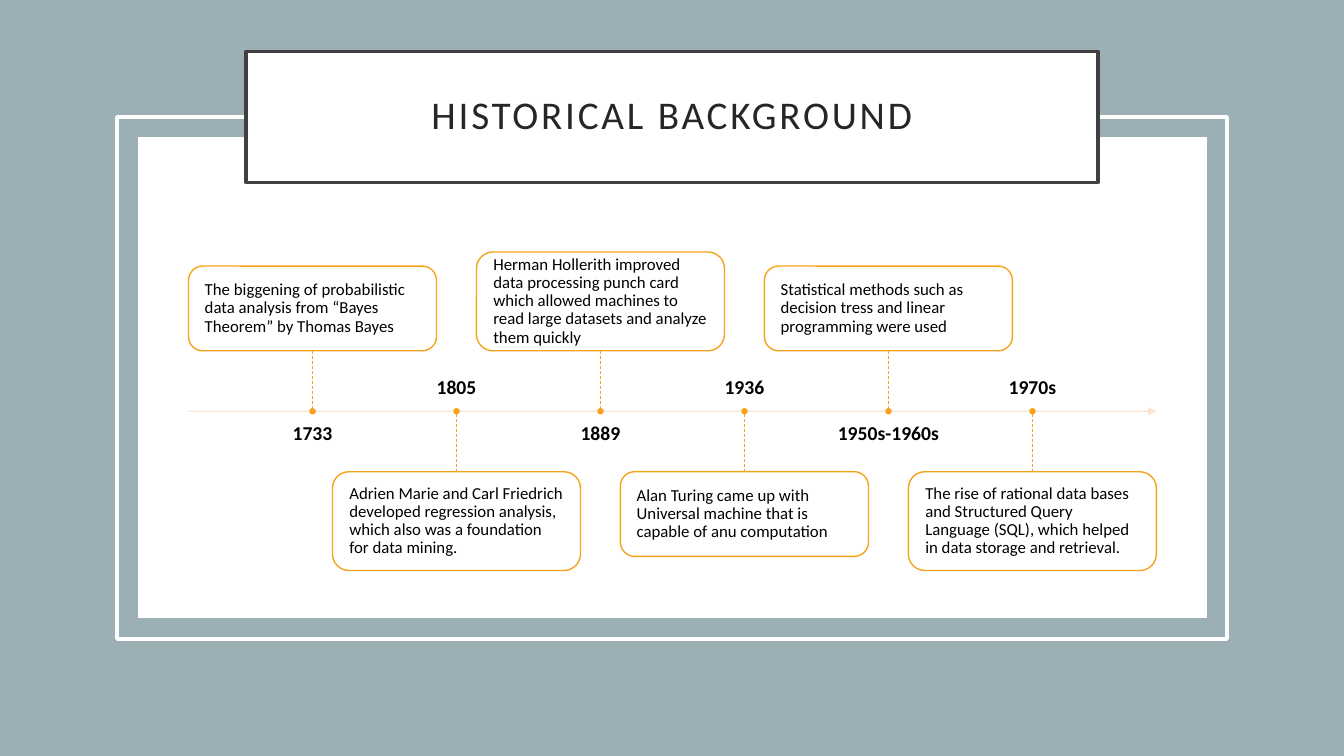
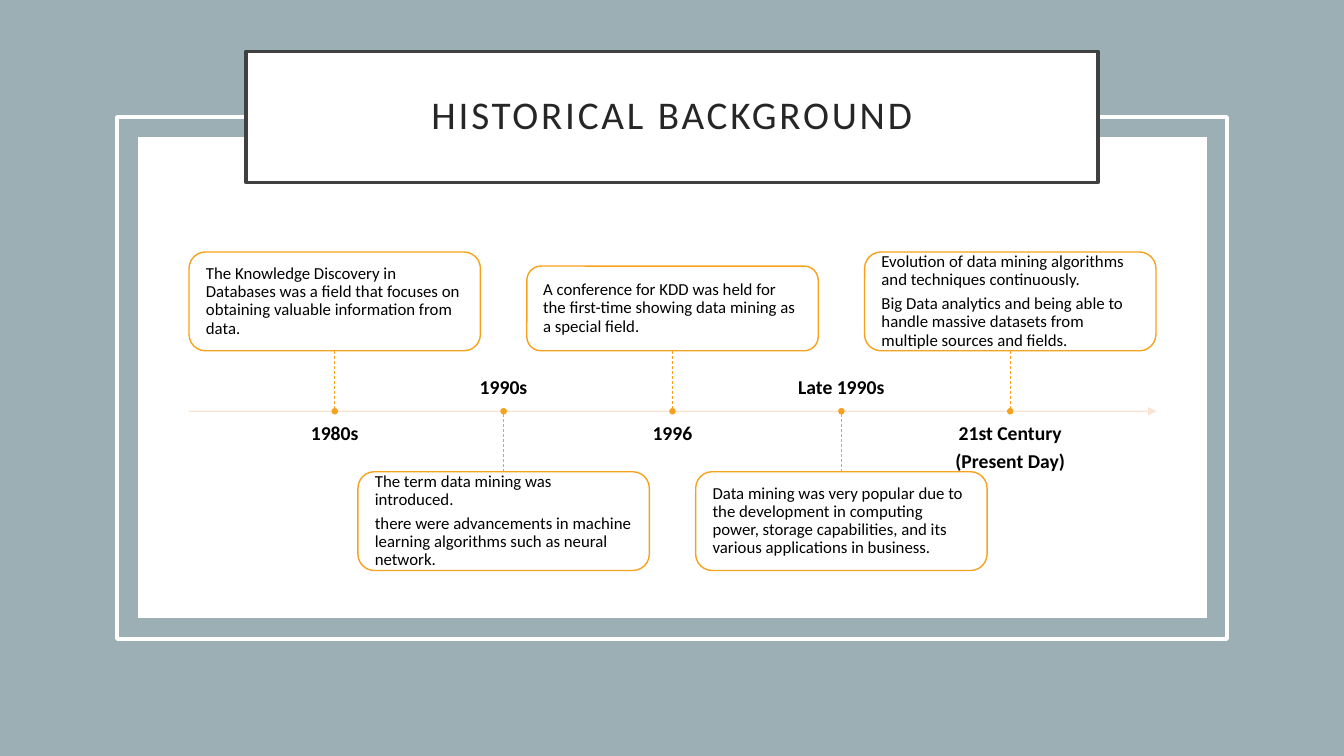
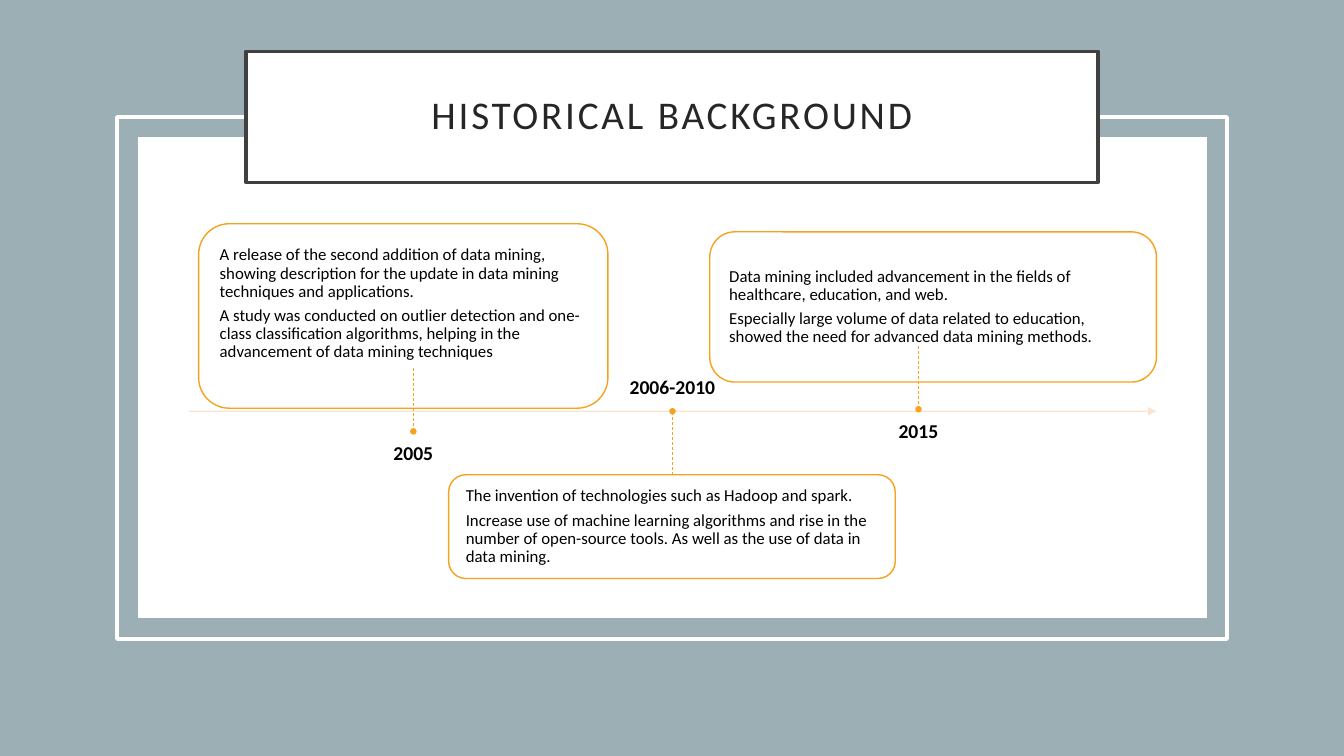
from lxml.etree import SubElement
from pptx import Presentation
from pptx.dml.color import RGBColor
from pptx.enum.dml import MSO_LINE as Dash
from pptx.enum.shapes import MSO_CONNECTOR as Connector, MSO_SHAPE as Shape
from pptx.enum.text import MSO_ANCHOR as Anchor, PP_ALIGN as Align
from pptx.oxml.ns import qn
from pptx.util import Inches, Pt


def color(value):
    return RGBColor.from_string(value)


def apply(target, values):
    for key, value in values.items():
        setattr(target, key, value)


class Deck:
    """Timeline slides in one shared style."""

    SLATE, WHITE, CHARCOAL, INK = "9BAFB5", "FFFFFF", "404040", "262626"
    ORANGE, PEACH, BLACK = "F6A21D", "FBE0CD", "000000"
    AXIS, LABEL_GAP, LABEL_HEIGHT, DOT = 4.08, 0.12, 0.36, 0.05
    TITLE = {"size": Pt(28), "name": "Calibri"}
    YEAR = {"size": Pt(14), "name": "Calibri", "bold": True}
    BODY = {"size": Pt(12), "name": "Calibri"}

    def __init__(self):
        self.prs = Presentation()
        apply(self.prs, {"slide_width": Inches(13.33), "slide_height": Inches(7.5)})
        self.slide = None

    def opacity(self, fill, percent):
        tint = fill._xPr.find(f".//{qn('a:srgbClr')}")
        SubElement(tint, qn("a:alpha"), val=str(percent * 1000))

    def shape(self, kind, at, fill=None, line=None, width=1):
        item = self.slide.shapes.add_shape(kind, *map(Inches, at))
        item.shadow.inherit = False
        if fill:
            item.fill.solid()
            item.fill.fore_color.rgb = color(fill)
        else:
            item.fill.background()
        if line:
            item.line.color.rgb = color(line)
            item.line.width = Pt(width)
        else:
            item.line.fill.background()
        return item

    def line(self, start, end, ink, width):
        item = self.slide.shapes.add_connector(
            Connector.STRAIGHT, *map(Inches, (*start, *end)))
        item.line.color.rgb = color(ink)
        item.line.width = Pt(width)
        SubElement(item._element.spPr, qn("a:effectLst"))
        return item

    def text(self, frame, content, font, ink, align, anchor, inset):
        apply(frame, {"word_wrap": True, "vertical_anchor": anchor})
        for side in ("left", "top", "right", "bottom"):
            setattr(frame, f"margin_{side}", Inches(inset))
        for number, words in enumerate(content.split("\n")):
            paragraph = frame.add_paragraph() if number else frame.paragraphs[0]
            apply(paragraph, {"alignment": align, "line_spacing": 0.9,
                              "space_after": Pt(round(0.36 * font["size"].pt, 1))})
            run = paragraph.add_run()
            run.text = words
            apply(run.font, font)
            run.font.color.rgb = color(ink)

    def new_slide(self, title):
        self.slide = self.prs.slides.add_slide(self.prs.slide_layouts[6])
        self.slide.background.fill.solid()
        self.slide.background.fill.fore_color.rgb = color(self.SLATE)
        self.shape(Shape.RECTANGLE, (1.37, 1.36, 10.6, 4.77), self.WHITE)
        self.shape(Shape.RECTANGLE, (1.16, 1.16, 11.01, 5.18), None, self.WHITE, 2.5)
        banner = self.shape(Shape.RECTANGLE, (2.44, 0.51, 8.45, 1.3),
                            self.WHITE, self.CHARCOAL, 2.5)
        self.text(banner.text_frame, title, self.TITLE, self.INK,
                  Align.CENTER, Anchor.MIDDLE, 0.2)
        heading = banner.text_frame.paragraphs[0].runs[0]
        heading._r.get_or_add_rPr().set("spc", "200")
        axis = self.line((1.87, self.AXIS), (11.47, self.AXIS), self.PEACH, 1)
        self.opacity(axis.line.fill, 90)
        SubElement(axis.line._get_or_add_ln(), qn("a:tailEnd"), type="triangle")

    def year(self, x, axis, text, above, width):
        top = axis - self.LABEL_GAP - self.LABEL_HEIGHT if above else axis + self.LABEL_GAP
        label = self.slide.shapes.add_textbox(
            *map(Inches, (x - width / 2, top, width, self.LABEL_HEIGHT)))
        self.text(label.text_frame, text, self.YEAR, self.BLACK, Align.CENTER,
                  Anchor.BOTTOM if above else Anchor.TOP, 0)

    def card(self, at, text):
        item = self.shape(Shape.ROUNDED_RECTANGLE, at, self.WHITE, self.ORANGE)
        self.opacity(item.fill, 90)
        self.text(item.text_frame, text, self.BODY, self.BLACK,
                  Align.LEFT, Anchor.MIDDLE, 0.12)
        return item

    def milestone(self, x, year, text, at, upward, label_width, stem=0.6, axis=AXIS):
        self.year(x, axis, year, not upward, label_width)
        card = self.card(at, text)
        tip = axis - stem if upward else axis + stem
        link = self.line((x, tip), (x, axis), self.ORANGE, 0.5)
        link.line.dash_style = Dash.DASH
        corner = x - self.DOT / 2, axis - self.DOT / 2
        self.shape(Shape.OVAL, (*corner, self.DOT, self.DOT), self.ORANGE, self.ORANGE)
        return card

    def timeline(self, first, last, card_width, label_width, events):
        step = (last - first) / (len(events) - 1)
        for number, (year, height, text) in enumerate(events):
            x, upward = first + number * step, number % 2 == 0
            top = 3.48 - height if upward else 4.68
            at = x - card_width / 2, top, card_width, height
            self.milestone(x, year, text, at, upward, label_width)


SHORT, TALL = 0.84, 0.98
TITLE = "HISTORICAL BACKGROUND"

EARLY = [
    ("1733", SHORT, "The biggening of probabilistic data analysis from “Bayes Theorem” "
     "by Thomas Bayes"),
    ("1805", TALL, "Adrien Marie and Carl Friedrich developed regression analysis, "
     "which also was a foundation for data mining."),
    ("1889", TALL, "Herman Hollerith improved data processing punch card which allowed "
     "machines to read large datasets and analyze them quickly"),
    ("1936", SHORT, "Alan Turing came up with Universal machine that is capable of anu "
     "computation"),
    ("1950s-1960s", SHORT, "Statistical methods such as decision tress and linear "
     "programming were used"),
    ("1970s", TALL, "The rise of rational data bases and Structured Query Language (SQL), "
     "which helped in data storage and retrieval."),
]

GROWTH = [
    ("1980s", TALL, "The Knowledge Discovery in Databases was a field that focuses on "
     "obtaining valuable information from data."),
    ("1990s", TALL, "The term data mining was introduced.\nthere were advancements in "
     "machine learning algorithms such as neural network."),
    ("1996", SHORT, "A conference for KDD was held for the first-time showing data mining "
     "as a special field."),
    ("Late 1990s", TALL, "Data mining was very popular due to the development in computing "
     "power, storage capabilities, and its various applications in business."),
    ("21st Century\n(Present Day)", TALL, "Evolution of data mining algorithms and "
     "techniques continuously.\nBig Data analytics and being able to handle massive "
     "datasets from multiple sources and fields."),
]

RECENT = [
    (4.1, 4.28, "2005", (1.97, 2.22, 4.06, 1.83), 0.36,
     "A release of the second addition of data mining, showing description for the update "
     "in data mining techniques and applications.\nA study was conducted on outlier "
     "detection and one-class classification algorithms, helping in the advancement of "
     "data mining techniques"),
    (6.67, 4.08, "2006-2010", (4.45, 4.71, 4.43, 1.03), 0.12,
     "The invention of technologies such as Hadoop and spark.\nIncrease use of machine "
     "learning algorithms and rise in the number of open-source tools. As well as the use "
     "of data in data mining."),
    (9.11, 4.06, "2015", (7.04, 2.3, 4.43, 1.49), 0.12,
     "Data mining included advancement in the fields of healthcare, education, and web.\n"
     "Especially large volume of data related to education, showed the need for advanced "
     "data mining methods."),
]


def main():
    deck = Deck()
    deck.new_slide(TITLE)
    deck.timeline(3.1, 10.24, 2.46, 2.17, EARLY)
    deck.new_slide(TITLE)
    deck.timeline(3.32, 10.02, 2.89, 2.54, GROWTH)
    deck.new_slide(TITLE)
    for number, (x, axis, year, at, bottom, text) in enumerate(RECENT):
        card = deck.milestone(x, year, text, at, number % 2 == 0, 3.9, 0.63, axis)
        card.text_frame.margin_bottom = Inches(bottom)
    deck.prs.save("out.pptx")


if __name__ == "__main__":
    main()
